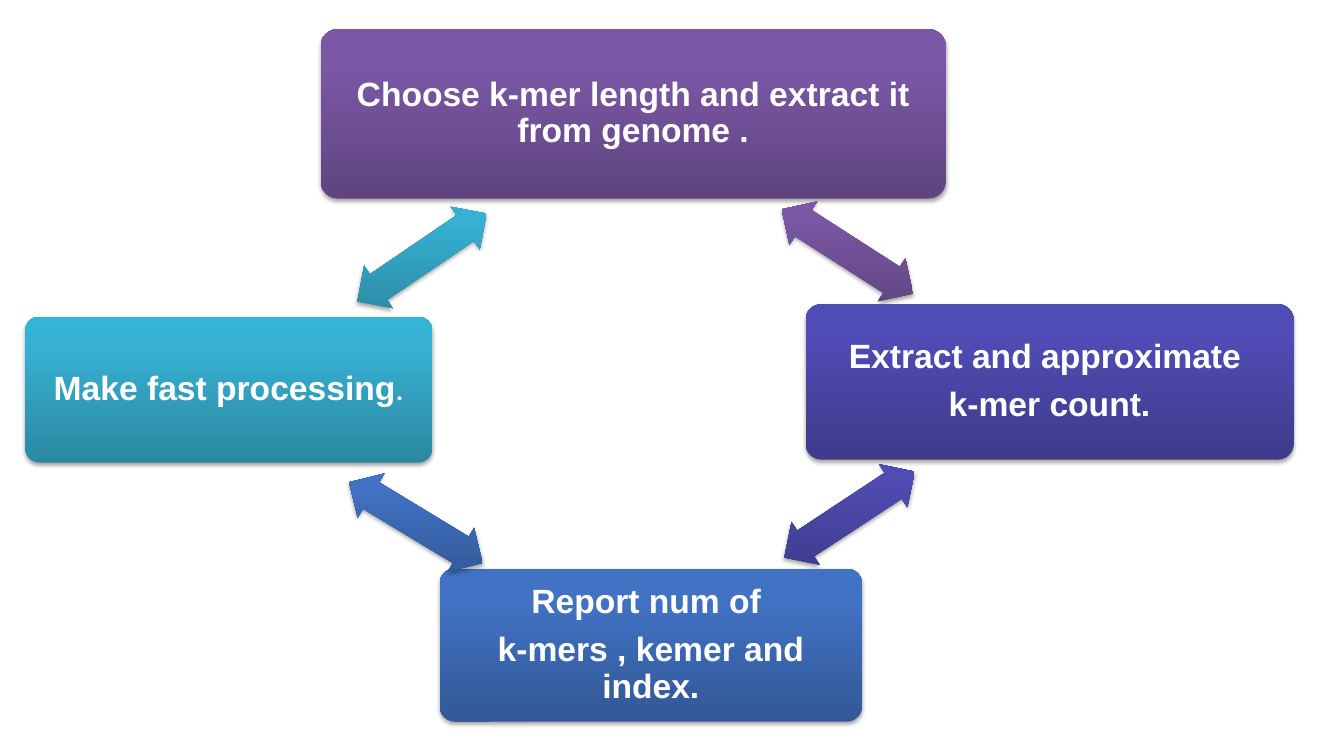
"""Draw a four-step k-mer counting cycle with two-way arrows."""
from dataclasses import dataclass

from lxml import etree
from pptx import Presentation
from pptx import util as u
from pptx.dml.color import RGBColor
from pptx.enum import shapes, text

WHITE = RGBColor(0xFF, 0xFF, 0xFF)
BLACK = RGBColor(0, 0, 0)
PURPLE = (RGBColor(0x5F, 0x44, 0x80), RGBColor(0x7B, 0x58, 0xA6), RGBColor(0x7C, 0x57, 0xA8))
VIOLET = (RGBColor(0x3E, 0x3B, 0x8B), RGBColor(0x50, 0x4C, 0xB5), RGBColor(0x4F, 0x4B, 0xB8))
BLUE = (RGBColor(0x32, 0x58, 0x97), RGBColor(0x41, 0x72, 0xC4), RGBColor(0x3F, 0x72, 0xC7))
TEAL = (RGBColor(0x2A, 0x88, 0xA2), RGBColor(0x37, 0xB1, 0xD2), RGBColor(0x34, 0xB4, 0xD6))
STOPS = (0, 80, 100)
ARROW = (1.55, 0.51)
NS = "http://schemas.openxmlformats.org/drawingml/2006/main"


@dataclass
class Step:
    """A box and the arrow that follows it."""
    lines: tuple[str, ...]
    box: tuple[float, float, float, float]
    arrow: tuple[float, float]
    turn: float
    shades: tuple[RGBColor, RGBColor, RGBColor]
    dot: str = ""


STEPS = (
    Step(("Choose k-mer length and extract it from genome .",),
         (3.18, 0.29, 6.2, 1.68), (7.63, 2.24), 32.7, PURPLE),
    Step(("Extract and approximate ", "k-mer count."),
         (7.99, 3.02, 4.84, 1.54), (7.65, 4.85), 146.6, VIOLET),
    Step(("Report num of ", "k-mers , kemer and index."),
         (4.36, 5.64, 4.19, 1.52), (3.35, 4.93), 211.2, BLUE),
    Step(("Make fast processing",),
         (0.25, 3.14, 4.04, 1.45), (3.41, 2.3), 325.8, TEAL, "."),
)


def style(shape, shades) -> None:
    """Give a shape its upright gradient, no line and a soft shadow."""
    stops = "".join(f'<a:gs pos="{pos * 1000}"><a:srgbClr val="{shade}"/></a:gs>'
                    for pos, shade in zip(STOPS, shades))
    grad = (f'<a:gradFill xmlns:a="{NS}" rotWithShape="0"><a:gsLst>{stops}</a:gsLst>'
            '<a:lin ang="16200000" scaled="0"/></a:gradFill>')
    glow = (f'<a:effectLst xmlns:a="{NS}"><a:outerShdw blurRad="{u.Pt(3.1)}" '
            f'dist="{u.Pt(1.8)}" dir="5400000" rotWithShape="0"><a:srgbClr val="{BLACK}">'
            '<a:alpha val="35000"/></a:srgbClr></a:outerShdw></a:effectLst>')
    shape.line.fill.background()
    props = shape.element.spPr
    props.insert(2, etree.fromstring(grad))
    props.append(etree.fromstring(glow))


def add_box(slide, step: Step) -> None:
    """Draw a rounded box with its text."""
    box = slide.shapes.add_shape(shapes.MSO_SHAPE.ROUNDED_RECTANGLE, *map(u.Inches, step.box))
    box.adjustments[0] = 0.1
    style(box, step.shades)
    frame = box.text_frame
    frame.word_wrap = True
    frame.vertical_anchor = text.MSO_ANCHOR.MIDDLE
    frame.margin_left = frame.margin_right = u.Inches(0.1)
    frame.margin_top = frame.margin_bottom = u.Inches(0.1)
    frame.text = "\n".join(step.lines)
    for para in frame.paragraphs:
        para.alignment = text.PP_ALIGN.CENTER
        para.line_spacing = 0.9
        para.space_after = u.Pt(8.4)
        font = para.font
        font.name, font.size, font.bold = "Arial", u.Pt(24), True
        font.color.rgb = WHITE
    if step.dot:
        run = frame.paragraphs[-1].add_run()
        run.text = step.dot
        run.font.name, run.font.bold = "Calibri", False


def add_arrow(slide, step: Step) -> None:
    """Draw the two-way arrow after a step."""
    arrow = slide.shapes.add_shape(shapes.MSO_SHAPE.LEFT_RIGHT_ARROW,
                                   *map(u.Inches, step.arrow + ARROW))
    arrow.adjustments[0], arrow.adjustments[1] = 0.6, 0.5
    arrow.rotation = step.turn
    style(arrow, step.shades)


def main() -> None:
    """Build and save the slide."""
    deck = Presentation()
    deck.slide_width, deck.slide_height = u.Inches(13.33), u.Inches(7.5)
    slide = deck.slides.add_slide(deck.slide_layouts[6])
    for step in STEPS:
        add_box(slide, step)
        add_arrow(slide, step)
    deck.save("out.pptx")


if __name__ == "__main__":
    main()
